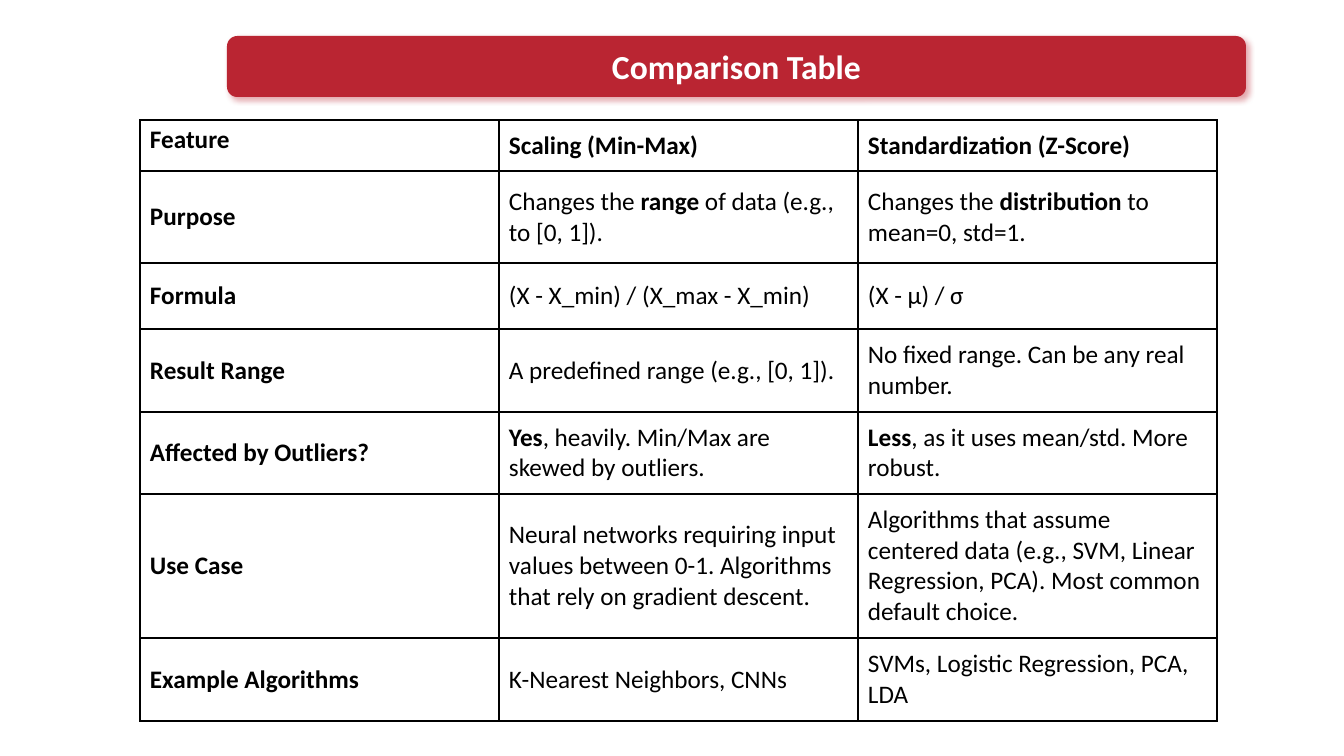
from lxml import etree
from pptx import Presentation
from pptx.dml.color import RGBColor
from pptx.enum.shapes import MSO_SHAPE as Shape
from pptx.enum.text import MSO_ANCHOR as Anchor, PP_ALIGN as Align
from pptx.oxml import parse_xml
from pptx.oxml.ns import nsdecls
from pptx.util import Emu, Pt

RED = RGBColor(0xBA, 0x25, 0x32)
BLACK = RGBColor(0, 0, 0)
WHITE = RGBColor(255, 255, 255)
FONT = "Calibri"
PX = 914400 / 100.8
PAD, EDGE = 10, 5

HEIGHTS = [51, 92, 66, 83, 82, 144, 83]
# Text between ** marks is bold
ROWS = [
    ("**Feature**", "**Scaling (Min-Max)**", "**Standardization (Z-Score)**"),
    ("**Purpose**", "Changes the **range** of data (e.g., to [0, 1]).",
     "Changes the **distribution** to mean=0, std=1."),
    ("**Formula**", "(X - X_min) / (X_max - X_min)", "(X - μ) / σ"),
    ("**Result Range**", "A predefined range (e.g., [0, 1]).",
     "No fixed range. Can be any real number."),
    ("**Affected by Outliers?**",
     "**Yes**, heavily. Min/Max are skewed by outliers.",
     "**Less**, as it uses mean/std. More robust."),
    ("**Use Case**",
     "Neural networks requiring input values between 0-1. "
     "Algorithms that rely on gradient descent.",
     "Algorithms that assume centered data (e.g., SVM, Linear Regression, "
     "PCA). Most common default choice."),
    ("**Example Algorithms**", "K-Nearest Neighbors, CNNs",
     "SVMs, Logistic Regression, PCA, LDA"),
]


def px(n):
    return Emu(round(n * PX))


def write(para, text, size, color):
    for i, part in enumerate(text.split("**")):
        if part:
            run = para.add_run()
            run.text = part
            font = run.font
            font.name, font.size, font.bold = FONT, Pt(size), i % 2 == 1
            font.color.rgb = color


def shade(shape, color):
    shape.shadow.inherit = False
    glow = shape._element.spPr.find("{*}effectLst")
    glow.append(parse_xml(
        f'<a:outerShdw {nsdecls("a")} blurRad="{Pt(4)}" dist="{Pt(3)}" '
        f'dir="2700000" algn="tl" rotWithShape="0"><a:srgbClr val="{color}">'
        '<a:alpha val="40000"/></a:srgbClr></a:outerShdw>'))


def border(cell):
    props = cell._tc.get_or_add_tcPr()
    for i, side in enumerate("LRTB"):
        props.insert(i, parse_xml(
            f'<a:ln{side} {nsdecls("a")} w="{Pt(1)}"><a:solidFill>'
            f'<a:srgbClr val="{BLACK}"/></a:solidFill></a:ln{side}>'))


# Title banner
def banner(slide, x, y, w, h, text):
    box = [px(n) for n in (x, y, w, h)]
    bar = slide.shapes.add_shape(Shape.ROUNDED_RECTANGLE, *box)
    bar.fill.solid()
    bar.fill.fore_color.rgb = RED
    bar.line.fill.background()
    shade(bar, RED)

    title = slide.shapes.title
    title.left, title.top, title.width, title.height = box
    frame = title.text_frame
    frame.word_wrap = True
    frame.vertical_anchor = Anchor.MIDDLE
    para = frame.paragraphs[0]
    para.alignment = Align.CENTER
    write(para, f"**{text}**", 24, WHITE)
    # Bring the title in front of the bar
    bar._element.addnext(title._element)


# Comparison grid
def grid(slide, x, y, w, h):
    table = slide.shapes.add_table(
        len(ROWS), len(ROWS[0]), px(x), px(y), px(w), px(h)).table
    table.first_row = table.horz_banding = False
    for col in table.columns:
        col.width = px(w / len(ROWS[0]))
    for r, row in enumerate(ROWS):
        table.rows[r].height = px(HEIGHTS[r])
        for c, text in enumerate(row):
            cell = table.cell(r, c)
            head = r == c == 0
            cell.vertical_anchor = Anchor.TOP if head else Anchor.MIDDLE
            cell.margin_left = cell.margin_right = px(PAD)
            cell.margin_top = cell.margin_bottom = px(EDGE if head else PAD)
            cell.fill.background()
            border(cell)
            write(cell.text_frame.paragraphs[0], text, 18, BLACK)


def main():
    deck = Presentation()
    deck.slide_width, deck.slide_height = px(1344), px(756)
    slide = deck.slides.add_slide(deck.slide_layouts[5])
    banner(slide, 227, 36, 1019, 61, "Comparison Table")
    grid(slide, 140, 120, 1077, sum(HEIGHTS))
    deck.save("out.pptx")


if __name__ == "__main__":
    main()
